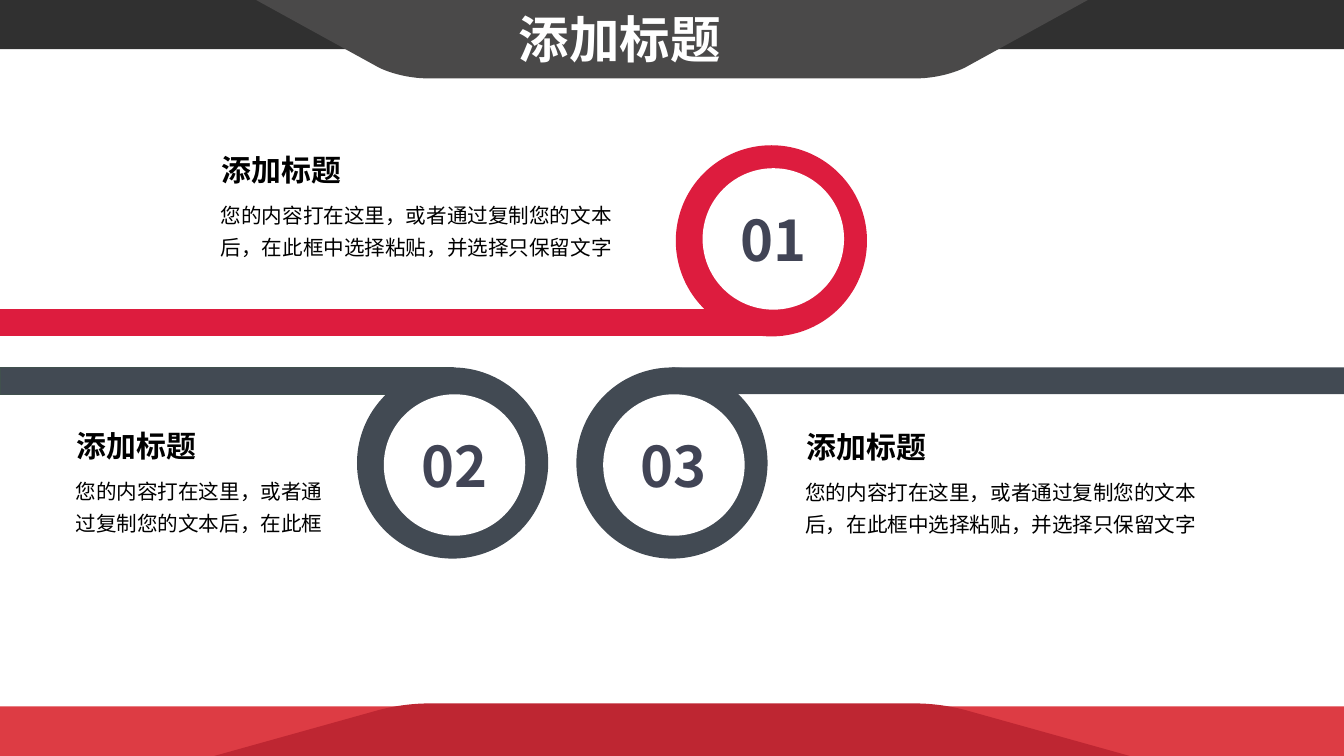
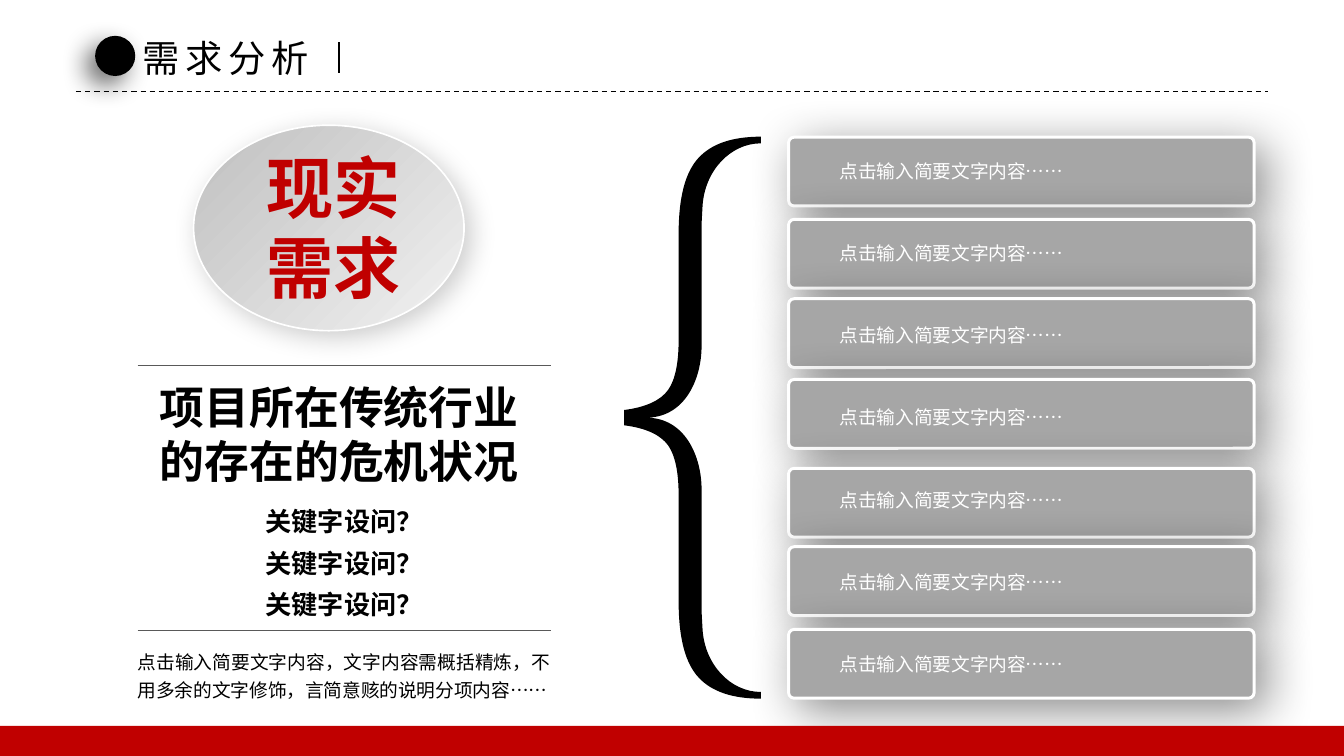
from dataclasses import dataclass

from lxml import etree
from pptx import Presentation
from pptx.dml.color import RGBColor
from pptx.enum.dml import MSO_LINE
from pptx.enum.shapes import MSO_CONNECTOR, MSO_SHAPE
from pptx.enum.text import MSO_ANCHOR, MSO_AUTO_SIZE, PP_ALIGN
from pptx.oxml.ns import qn
from pptx.util import Inches, Pt

RECT, OVAL, ROUND = MSO_SHAPE.RECTANGLE, MSO_SHAPE.OVAL, MSO_SHAPE.ROUNDED_RECTANGLE
STRAIGHT, DASH = MSO_CONNECTOR.STRAIGHT, MSO_LINE.DASH
TOP, MIDDLE, NO_FIT = MSO_ANCHOR.TOP, MSO_ANCHOR.MIDDLE, MSO_AUTO_SIZE.NONE
LEFT, CENTER, JUSTIFY = PP_ALIGN.LEFT, PP_ALIGN.CENTER, PP_ALIGN.JUSTIFY
COLS, ROWS = 140.6, 79.1
CELL = Inches(0.1)


@dataclass(frozen=True)
class Theme:
    font: str = "Noto Sans CJK SC"
    black: str = "000000"
    white: str = "FFFFFF"
    charcoal: str = "303030"
    graphite: str = "4A4949"
    coral: str = "DD3C44"
    brick: str = "BE2632"
    crimson: str = "DD1C3E"
    slate: str = "424A53"
    slate_edge: str = "41514E"
    numeral: str = "414455"
    red: str = "C00000"
    panel: str = "A6A6A6"
    rule: str = "595959"
    silver: str = "BFBFBF"
    mist: str = "F2F2F2"
    badge_size: float = 50.6
    number_size: float = 42.2
    band_title_size: float = 38
    headline_size: float = 33.8
    title_size: float = 28.1
    heading_size: float = 22.5
    question_size: float = 19.7
    body_size: float = 15.5
    note_size: float = 14.1


THEME = Theme()


def cells(*values):
    return [round(v * CELL) for v in values]


def rgb(color):
    return RGBColor.from_string(color)


def set_text(sp, text, size=THEME.body_size, color=THEME.black, bold=False, align=LEFT,
             anchor=TOP, inset=(1, 0.5), wrap=True, line=None, gap=0, spacing=None):
    tf = sp.text_frame
    tf.auto_size, tf.word_wrap, tf.vertical_anchor = NO_FIT, wrap, anchor
    tf.margin_left = tf.margin_right = cells(inset[0])[0]
    tf.margin_top = tf.margin_bottom = cells(inset[1])[0]
    tf.text = text
    for i, p in enumerate(tf.paragraphs):
        p.alignment = align
        p.space_before = Pt(gap if i else 0)
        if line:
            p.line_spacing = line
        f = p.runs[0].font
        f.size, f.bold, f.color.rgb, f.name = Pt(size), bold, rgb(color), THEME.font
    for rPr in sp.element.iter(qn("a:rPr")):
        etree.SubElement(rPr, qn("a:ea")).set("typeface", THEME.font)
        if spacing:
            rPr.set("spc", str(round(spacing * 100)))


def mirrored(start, segments, flip):
    ends = [start] + [seg[-1] for seg in segments]
    back = [(flip(*ends[-1]),)]
    for end, seg in reversed(list(zip(ends, segments))):
        back.append(tuple(flip(*pt) for pt in (*reversed(seg[:-1]), end)))
    return [*segments, *back]


class Deck:
    def __init__(self):
        self.prs = Presentation()
        self.prs.slide_width, self.prs.slide_height = cells(COLS, ROWS)
        self.s = None

    def slide(self, layout):
        self.s = self.prs.slides.add_slide(self.prs.slide_layouts[layout])

    def paint(self, sp, fill, line=None, width=1.0, shadow=None):
        sp.shadow.inherit = False
        if isinstance(fill, tuple):
            sp.fill.gradient()
            sp.fill.gradient_angle = 315
            for stop, color in zip(sp.fill.gradient_stops, fill):
                stop.color.rgb = rgb(color)
        else:
            sp.fill.solid()
            sp.fill.fore_color.rgb = rgb(fill)
        if line:
            sp.line.color.rgb, sp.line.width = rgb(line), Pt(width)
        else:
            sp.line.fill.background()
        if shadow:
            alpha, blur, dist, angle = shadow
            effects = sp.element.spPr.find(qn("a:effectLst"))
            outer = etree.SubElement(effects, qn("a:outerShdw"), blurRad=str(Pt(blur)),
                                     dist=str(Pt(dist)), dir=str(angle * 60000),
                                     algn="ctr", rotWithShape="0")
            color = etree.SubElement(outer, qn("a:srgbClr"), val=THEME.black)
            etree.SubElement(color, qn("a:alpha"), val=str(alpha * 1000))
        return sp

    def shape(self, kind, box, fill, **style):
        return self.paint(self.s.shapes.add_shape(kind, *cells(*box)), fill, **style)

    def band(self, y, h, fill):
        self.shape(RECT, (0, y, COLS, h), fill)

    def outline(self, start, segments, fill):
        fb = self.s.shapes.build_freeform(*cells(*start), scale=1.0)
        fb.add_line_segments([cells(*pt) for seg in segments for pt in seg], close=True)
        sp = self.paint(fb.convert_to_shape(), fill)
        steps = iter(list(sp.element.iter(qn("a:lnTo"))))
        for seg in segments:
            group = [next(steps) for _ in seg]
            if len(group) == 3:
                bezier = etree.Element(qn("a:cubicBezTo"))
                group[0].addprevious(bezier)
                for step in group:
                    bezier.append(step[0])
                    step.getparent().remove(step)

    def tab(self, corner, shoulder, *bend, fill):
        segments = mirrored(corner, [(shoulder,), bend], lambda x, y: (COLS - x, y))
        self.outline(corner, segments, fill)

    def line(self, x1, y1, x2, y2, color, width, dash=None):
        c = self.s.shapes.add_connector(STRAIGHT, *cells(x1, y1, x2, y2))
        c.line.color.rgb, c.line.width = rgb(color), Pt(width)
        if dash:
            c.line.dash_style = dash
        etree.SubElement(c.element.spPr, qn("a:effectLst"))

    def text(self, box, text, **fmt):
        set_text(self.s.shapes.add_textbox(*cells(*box)), text, **fmt)

    def placeholder(self, sp, box, text, **fmt):
        sp.left, sp.top, sp.width, sp.height = cells(*box)
        sp.element.getparent().append(sp.element)
        set_text(sp, text, **fmt)

    def title(self, box, text, **fmt):
        self.placeholder(self.s.shapes.title, box, text, wrap=False, **fmt)

    def bullets(self, idx, box, items, **fmt):
        sp = self.s.placeholders[idx]
        self.placeholder(sp, box, "\n".join(items), inset=(0, 0), **fmt)
        for p in sp.element.iter(qn("a:p")):
            pPr = p.get_or_add_pPr()
            pPr.set("marL", "0")
            pPr.set("indent", "0")
            etree.SubElement(pPr, qn("a:buNone"))

    def ring(self, number, x, y, hole_y, fill):
        self.shape(OVAL, (x, y, 20, 20), fill)
        hole = self.shape(OVAL, (x + 2.8, y + hole_y, 14.8, 14.8), THEME.white)
        set_text(hole, number, size=THEME.number_size, color=THEME.numeral, bold=True,
                 align=CENTER, anchor=MIDDLE)

    def entry(self, x, y, w, heading, body):
        self.text((x - 0.1, y + 4.6, w, 7.8), body, line=1.3, inset=(1.1, 0.5))
        self.text((x, y, 14.8, 4.9), heading, size=THEME.heading_size, bold=True,
                  inset=(1.1, 0.5), wrap=False)


def rings_slide(deck):
    deck.slide(5)
    deck.band(73.9, 5.2, THEME.coral)
    deck.tab((22.4, ROWS), (39.6, 74.3), (41.1, 73.9), (43, 73.6), (44.8, 73.6),
             fill=THEME.brick)
    deck.band(0, 5.15, THEME.charcoal)
    deck.tab((26.8, 0), (39.7, 7.1), (41.2, 7.8), (43.1, 8.2), (44.8, 8.2),
             fill=THEME.graphite)
    deck.title((53.25, 0.3, 23.3, 7.4), "添加标题", size=THEME.band_title_size,
               color=THEME.white, bold=True)
    rings = [
        ("02", 37.35, 38.45, 2.8, (0, 38.45, 47.4, 2.8), THEME.slate, THEME.slate_edge),
        ("01", 70.7, 15.2, 2.4, (0, 32.35, 81.9, 2.8), THEME.crimson, None),
        ("03", 60.3, 38.45, 2.8, (70.3, 38.45, 70.3, 2.8), THEME.slate, None),
    ]
    for number, x, y, hole_y, bar, fill, edge in rings:
        deck.shape(RECT, bar, fill, line=edge)
        deck.ring(number, x, y, hole_y, fill)
    short = "您的内容打在这里，或者通过复制您的文本后，在此框"
    full = short + "中选择粘贴，并选择只保留文字"
    for x, y, w, body in [(22.1, 15.4, 44.5, full), (6.9, 44.2, 29.2, short),
                          (83.25, 44.35, 44.5, full)]:
        deck.entry(x, y, w, "添加标题", body)


def needs_slide(deck):
    deck.slide(3)
    for y in (14.35, 22.95, 31.25, 39.7, 49, 57.2, 65.85):
        panel = deck.shape(ROUND, (82.5, y, 48.7, 7.2), THEME.panel, line=THEME.white,
                           width=2.25, shadow=(45, 38, 11, 45))
        panel.adjustments[0] = 0.08
    deck.shape(OVAL, (20.25, 13.1, 28.3, 21.5), (THEME.silver, THEME.mist),
               line=THEME.white, width=1.25, shadow=(20, 20, 6, 45))
    deck.text((25.25, 15.3, 19.3, 17), "现实需求", size=THEME.badge_size, color=THEME.red,
              bold=True, align=CENTER, inset=(0, 0))
    for y in (38.2, 65.95):
        deck.line(14.4, y, 57.6, y, THEME.rule, 0.5)
    deck.text((16.7, 39.7, 38.8, 11.4), "项目所在传统行业的存在的危机状况",
              size=THEME.headline_size, bold=True, inset=(0, 0))
    deck.bullets(1, (23.8, 52.9, 24.4, 12.6), ["关键字设问？"] * 3,
                 size=THEME.question_size, bold=True, align=CENTER, gap=7.5)
    deck.text((14.4, 67.5, 43.2, 5.9),
              "点击输入简要文字内容，文字内容需概括精炼，不用多余的文字修饰，言简意赅的说明分项内容……",
              size=THEME.note_size, align=JUSTIFY, inset=(0, 0), line=Pt(21.1))
    tip = (65.3, 42.9)
    upper_half = [
        ((67.6, 42.6), (69.1, 41.9), (69.9, 40.8)),
        ((70.6, 39.8), (71, 38.1), (71, 35.6)),
        ((71, 24.5),),
        ((71, 20.6), (71.7, 18), (73.1, 16.5)),
        ((74.5, 15), (76.7, 14.3), (79.6, 14.3)),
        ((79.6, 15),),
        ((76.4, 15), (73.7, 17.9), (73.5, 21.6)),
        ((73.4, 23.4),),
        ((73.4, 36.2),),
        ((73.4, 39.6), (71.7, 43.7), (67.6, 43.7)),
    ]
    deck.outline(tip, mirrored(tip, upper_half, lambda x, y: (x, 87.4 - y)), THEME.black)
    deck.bullets(2, (87.85, 16.7, 35.6, 54), ["点击输入简要文字内容……"] * 7,
                 size=THEME.note_size, color=THEME.white, align=JUSTIFY, gap=45)
    deck.line(7.95, 9.6, 132.7, 9.6, THEME.black, 1, DASH)
    deck.shape(OVAL, (9.95, 3.75, 4.2, 4.2), THEME.black, shadow=(60, 20, 10, 135))
    deck.title((13.95, 3.2, 20.2, 5.7), "需求分析", size=THEME.title_size, spacing=4.2)
    deck.line(35.5, 4.4, 35.5, 7.6, THEME.black, 1.5)
    deck.band(75.95, 3.3, THEME.red)


def main():
    deck = Deck()
    rings_slide(deck)
    needs_slide(deck)
    deck.prs.save("out.pptx")


if __name__ == "__main__":
    main()
